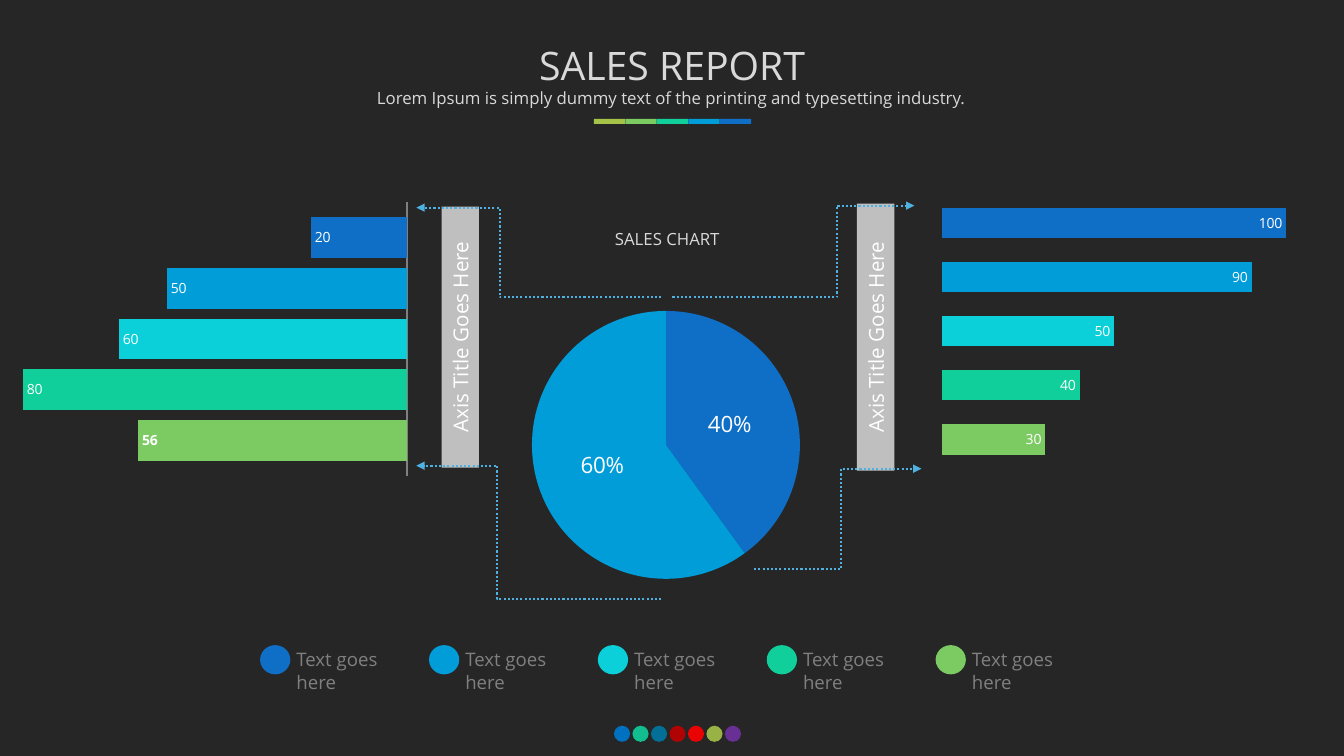
from lxml.etree import SubElement
from pptx import Presentation
from pptx.chart.data import CategoryChartData
from pptx.dml.color import RGBColor
from pptx.enum.chart import XL_CHART_TYPE, XL_LABEL_POSITION, XL_TICK_LABEL_POSITION, XL_TICK_MARK
from pptx.enum.dml import MSO_LINE
from pptx.enum.shapes import MSO_CONNECTOR, MSO_SHAPE
from pptx.enum.text import MSO_ANCHOR, PP_ALIGN
from pptx.oxml import parse_xml
from pptx.oxml.ns import nsdecls, qn
from pptx.util import Inches, Pt

HUES = {
    "back": "262626", "white": "FFFFFF", "pale": "D9D9D9", "gray": "808080",
    "bar": "BFBFBF", "arrow": "4FB1E2", "blue": "0F6FC6", "sky": "009DD9",
    "aqua": "0BD0D9", "mint": "10CF9B", "green": "7CCA62", "lime": "A5C249",
    "navy": "0070C0", "teal": "0076A3", "wine": "C00000", "red": "FF0000",
    "plum": "7030A0",
}
FACE = "Open Sans"
RANKS = ["blue", "sky", "aqua", "mint", "green"]


def tint(name):
    return RGBColor.from_string(HUES[name])


def style(font, size, hue="white", bold=False):
    font.name = FACE
    font.size = Pt(size)
    font.bold = bold
    font.color.rgb = tint(hue)


def write(frame, text, size=12, hue="pale", align=PP_ALIGN.CENTER,
          anchor=MSO_ANCHOR.TOP, inset=None):
    frame.word_wrap = True
    frame.vertical_anchor = anchor
    if inset is not None:
        frame.margin_left = frame.margin_right = Inches(inset)
        frame.margin_top = frame.margin_bottom = Inches(inset)
    line = frame.paragraphs[0]
    line.alignment = align
    run = line.add_run()
    run.text = text
    style(run.font, size, hue)


def place(node, spot, inner=False, **sides):
    for old in node.findall(qn("c:layout")):
        node.remove(old)
    layout = parse_xml(f"<c:layout {nsdecls('c')}><c:manualLayout/></c:layout>")
    parts = {"layoutTarget": "inner"} if inner else {}
    parts.update(xMode="edge", yMode="edge", **sides)
    for key, val in parts.items():
        SubElement(layout[0], qn(f"c:{key}")).set("val", str(val))
    node.insert(spot, layout)


class Board:
    def __init__(self, deck):
        self.slide = deck.slides.add_slide(deck.slide_layouts[5])
        self.shapes = self.slide.shapes
        self.slide.background.fill.solid()
        self.slide.background.fill.fore_color.rgb = tint("back")

    def title(self, text, *box):
        head = self.shapes.title
        head.left, head.top, head.width, head.height = map(Inches, box)
        write(head.text_frame, text, size=28, anchor=MSO_ANCHOR.MIDDLE)

    def text(self, text, *box, **form):
        write(self.shapes.add_textbox(*map(Inches, box)).text_frame, text, **form)

    def shape(self, kind, hue, *box, alpha=None):
        item = self.shapes.add_shape(kind, *map(Inches, box))
        item.shadow.inherit = False
        item.fill.solid()
        item.fill.fore_color.rgb = tint(hue)
        item.line.fill.background()
        if alpha:
            tone = item.element.spPr.find(qn("a:solidFill"))[0]
            SubElement(tone, qn("a:alpha")).set("val", str(alpha * 1000))
        return item

    def banner(self, text, *box):
        item = self.shape(MSO_SHAPE.RECTANGLE, "bar", *box)
        item.rotation = 270
        write(item.text_frame, text, size=14.7, hue="white", anchor=MSO_ANCHOR.MIDDLE)

    def arrow(self, bend, *ends):
        item = self.shapes.add_connector(MSO_CONNECTOR.ELBOW, *map(Inches, ends))
        item.line.color.rgb = tint("arrow")
        item.line.width = Pt(1.5)
        item.line.dash_style = MSO_LINE.ROUND_DOT
        props = item.element.spPr
        SubElement(props.find(qn("a:ln")), qn("a:tailEnd")).set("type", "triangle")
        SubElement(props, qn("a:effectLst"))
        guide = SubElement(props.find(qn("a:prstGeom")).find(qn("a:avLst")), qn("a:gd"))
        guide.set("name", "adj1")
        guide.set("fmla", f"val {round(bend * 100000)}")

    def chart(self, kind, data, box, size, **sides):
        chart = self.shapes.add_chart(kind, *map(Inches, box), data).chart
        chart.has_legend = chart.has_title = False
        style(chart.font, size)
        place(chart.plots[0]._element.getparent(), 0, inner=True, **sides)
        return chart

    def pie(self, title, vals, box, **sides):
        data = CategoryChartData()
        data.categories = ["1", "2"]
        data.add_series("Series 1", vals)
        chart = self.chart(XL_CHART_TYPE.PIE, data, box, 16, **sides)
        chart.has_title = True
        write(chart.chart_title.text_frame, title)
        place(chart.chart_title._element, 1, x=0.36, y=0.05)
        plot = chart.plots[0]
        plot.vary_by_categories = False
        for i, hue in enumerate(RANKS[:2]):
            fill = plot.series[0].points[i].format.fill
            fill.solid()
            fill.fore_color.rgb = tint(hue)
        plot.has_data_labels = True
        tags = plot.data_labels
        tags.show_percentage, tags.show_value = True, False
        tags.number_format, tags.number_format_is_linked = "0%", False
        tags.position = XL_LABEL_POSITION.CENTER
        style(tags.font, 16)

    def bars(self, vals, box, top, gap, lap, flip=False, strong=None, **sides):
        data = CategoryChartData()
        data.categories = ["1"]
        for i, val in enumerate(vals, 1):
            data.add_series(f"Series {i}", [val])
        chart = self.chart(XL_CHART_TYPE.BAR_CLUSTERED, data, box, 10, **sides)
        plot = chart.plots[0]
        plot.gap_width, plot.overlap = gap, lap
        plot.vary_by_categories = False
        scale, base = chart.value_axis, chart.category_axis
        scale.minimum_scale, scale.maximum_scale = 0, top
        scale.has_major_gridlines = scale.visible = False
        scale.reverse_order = flip
        base.reverse_order = True
        base.visible = flip
        if flip:
            base.tick_label_position = XL_TICK_LABEL_POSITION.NONE
            base.major_tick_mark = XL_TICK_MARK.NONE
            base.format.line.color.rgb = tint("gray")
            base.format.line.width = Pt(0.75)
        for i, (row, hue) in enumerate(zip(plot.series, RANKS)):
            row.invert_if_negative = False
            row.format.fill.solid()
            row.format.fill.fore_color.rgb = tint(hue)
            tags = row.data_labels
            tags.show_value = True
            tags.position = XL_LABEL_POSITION.INSIDE_END
            style(tags.font, 10, bold=i == strong)


def main():
    deck = Presentation()
    deck.slide_width, deck.slide_height = Inches(13.33), Inches(7.5)
    board = Board(deck)

    dots = ["navy", "mint", "teal", "wine", "red", "lime", "plum"]
    for i, hue in enumerate(dots):
        board.shape(MSO_SHAPE.OVAL, hue, 6.09 + 1.1 / 6 * i, 7.2, 0.16, 0.16,
                    alpha=90 if i else None)

    for left, width in [(3.27, 2.59), (7.36, 2.65)]:
        board.banner("Axis Title Goes Here", left, 3.16, width, 0.37)

    board.pie("SALES CHART", [40, 60], (4.69, 1.99, 3.83, 4.38),
              x=0.153, y=0.25, w=0.694, h=0.607)
    board.bars([100, 90, 50, 40, 30], (9.11, 1.84, 4.33, 2.82), 120, 2, -78,
               x=0.054, y=0.078, w=0.946, h=0.87)
    board.bars([20, 50, 60, 80, 56], (-0.33, 1.95, 4.47, 2.82), 90, 75, -25,
               flip=True, strong=4, x=0.018, y=0.02, w=0.959, h=0.963)

    board.arrow(0.68, 6.67, 2.95, 9.07, 2.04)
    board.arrow(0.52, 7.48, 5.65, 9.14, 4.65)
    board.arrow(0.66, 6.56, 2.95, 4.13, 2.06)
    board.arrow(0.67, 6.56, 5.94, 4.13, 4.62)

    for i, hue in enumerate(RANKS):
        left = 2.58 + 1.675 * i
        board.text("Text goes here", left + 0.36, 6.43, 1.1, 0.45, size=13.3,
                   hue="gray", align=PP_ALIGN.LEFT, inset=0)
        board.shape(MSO_SHAPE.OVAL, hue, left, 6.4, 0.3, 0.29)

    board.title("SALES REPORT", 2.71, 0.4, 7.91, 0.49)
    board.text("Lorem Ipsum is simply dummy text of the printing and typesetting industry.",
               3.29, 0.82, 6.74, 0.3)
    for i, hue in enumerate(["lime", "green", "mint", "sky", "blue"]):
        board.shape(MSO_SHAPE.RECTANGLE, hue, 5.89 + 1.25 / 4 * i, 1.18, 0.31, 0.05)

    deck.save("out.pptx")


if __name__ == "__main__":
    main()
